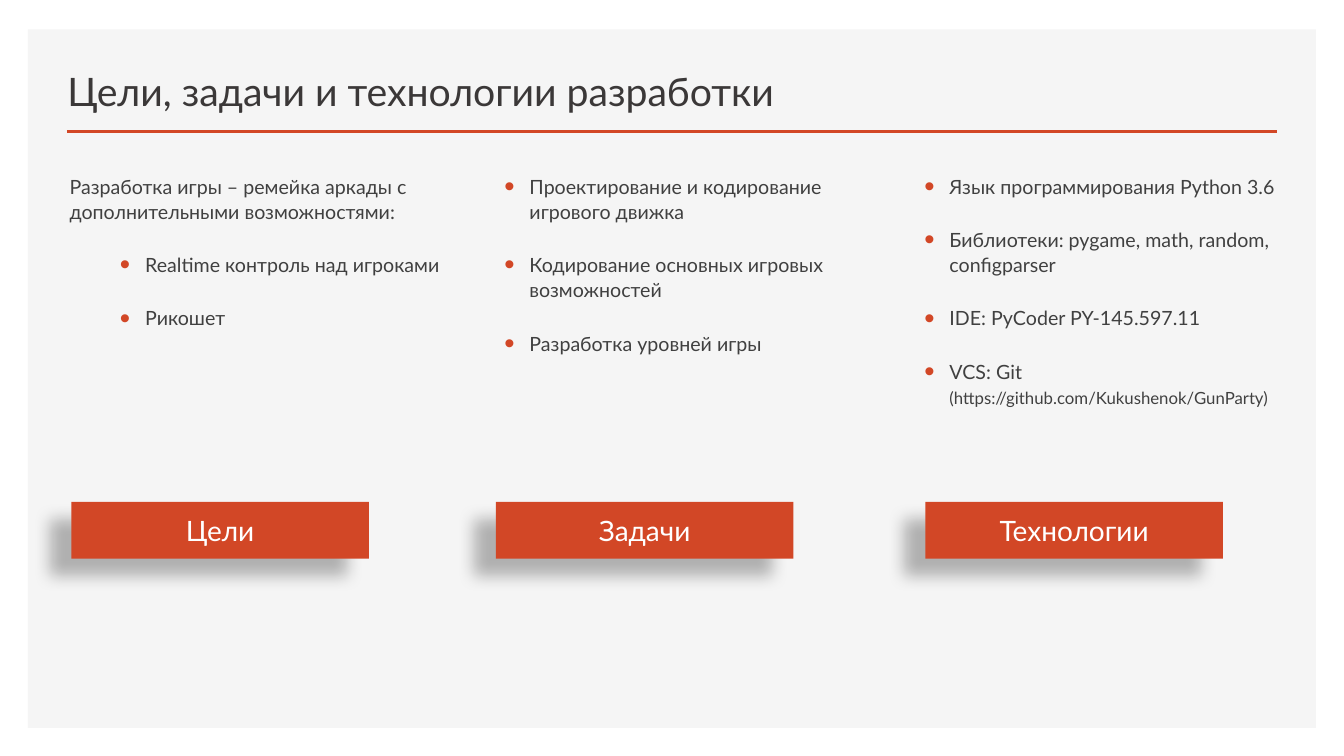
import pptx
import pptx.dml.color
import pptx.enum.shapes
import pptx.enum.text
import pptx.oxml
import pptx.oxml.ns
import pptx.util
from lxml import etree

Pt = pptx.util.Pt
ALIGN = pptx.enum.text.PP_ALIGN
ANCHOR = pptx.enum.text.MSO_ANCHOR
FONT = "Lato"
COLORS = {
    "panel": "F5F5F5",
    "accent": "D24726",
    "title": "3B3838",
    "body": "404040",
    "label": "FFFFFF",
    "shadow": "000000",
}

# Each column: left and width of its list, left of its label, label, items (level, text)
COLUMNS = [
    (42.5, 281, 51, "Цели", [
        (None, "Разработка игры – ремейка аркады с дополнительными возможностями:"),
        (1, "Realtime контроль над игроками"),
        (1, "Рикошет"),
    ]),
    (353, 270, 354.25, "Задачи", [
        (0, "Проектирование и кодирование игрового движка"),
        (0, "Кодирование основных игровых возможностей"),
        (0, "Разработка уровней игры"),
    ]),
    (653, 270, 661, "Технологии", [
        (0, "Язык программирования Python 3.6"),
        (0, "Библиотеки: pygame, math, random, configparser"),
        (0, "IDE: PyCoder PY-145.597.11"),
        (0, "VCS: Git "),
    ]),
]
REPOSITORY = "(https://github.com/Kukushenok/GunParty)"


def rgb(name):
    return pptx.dml.color.RGBColor.from_string(COLORS[name])


def place(item, left, top, width, height):
    item.left, item.top, item.width, item.height = map(Pt, (left, top, width, height))


def style(paragraph, size, color, align=ALIGN.LEFT):
    paragraph.alignment = align
    paragraph.font.size = Pt(size)
    paragraph.font.name = FONT
    paragraph.font.bold = False
    paragraph.font.color.rgb = rgb(color)


def set_bullet(paragraph, level):
    """Give the paragraph a bullet at a level, or none when level is None."""
    properties = paragraph._p.get_or_add_pPr()
    if level is None:
        properties.set("marL", "0")
        properties.set("indent", "0")
        etree.SubElement(properties, pptx.oxml.ns.qn("a:buNone"))
        return
    paragraph.level = level
    properties.set("marL", str(Pt(18 + 36 * level)))
    properties.set("indent", str(Pt(-18)))
    for tag, attributes in (("a:buClr", {}), ("a:buSzPct", {"val": "150000"}),
                            ("a:buFont", {"typeface": "Arial"}), ("a:buChar", {"char": "•"})):
        part = etree.SubElement(properties, pptx.oxml.ns.qn(tag), attributes)
        if tag == "a:buClr":
            etree.SubElement(part, pptx.oxml.ns.qn("a:srgbClr"), val=COLORS["accent"])


def add_rectangle(slide, left, top, width, height, color):
    rectangle = slide.shapes.add_shape(
        pptx.enum.shapes.MSO_SHAPE.RECTANGLE, Pt(left), Pt(top), Pt(width), Pt(height))
    rectangle.shadow.inherit = False
    rectangle.fill.solid()
    rectangle.fill.fore_color.rgb = rgb(color)
    rectangle.line.fill.background()
    return rectangle


def add_panel(slide):
    panel = add_rectangle(slide, 20, 21, 920, 499, "panel")
    slide.shapes._spTree.insert(2, panel._element)


def add_title_rule(slide):
    rule = slide.shapes.add_connector(
        pptx.enum.shapes.MSO_CONNECTOR.STRAIGHT, Pt(47.75), Pt(94), Pt(912), Pt(94))
    rule.line.color.rgb = rgb("accent")
    rule.line.width = Pt(2)
    etree.SubElement(rule._element.spPr, pptx.oxml.ns.qn("a:effectLst"))


def fill_title(title, text):
    place(title, 41, 35.5, 871, 50)
    frame = title.text_frame
    frame.text = text
    frame.auto_size = pptx.enum.text.MSO_AUTO_SIZE.NONE
    frame.vertical_anchor = ANCHOR.BOTTOM
    style(frame.paragraphs[0], 28, "title")


def fill_list(body, left, width, items):
    place(body, left, 120, width, 304.5)
    frame = body.text_frame
    frame.auto_size = pptx.enum.text.MSO_AUTO_SIZE.NONE
    frame.vertical_anchor = ANCHOR.TOP
    frame.text = "\n".join(text for _, text in items)
    for number, (paragraph, (level, _)) in enumerate(zip(frame.paragraphs, items)):
        set_bullet(paragraph, level)
        paragraph.line_spacing = Pt(18)
        paragraph.space_before = Pt(10 if number else 0)
        paragraph.space_after = Pt(10)
        style(paragraph, 14, "body")


def add_label(slide, left, text):
    label = add_rectangle(slide, left, 358.5, 212.5, 40.5, "accent")
    effects = label._element.spPr.find(pptx.oxml.ns.qn("a:effectLst"))
    shadow = etree.SubElement(
        effects, pptx.oxml.ns.qn("a:outerShdw"), blurRad=str(Pt(11.8)),
        dist=str(Pt(19.7)), dir=str(141 * 60000), algn="ctr", rotWithShape="0")
    color = etree.SubElement(shadow, pptx.oxml.ns.qn("a:srgbClr"), val=COLORS["shadow"])
    etree.SubElement(color, pptx.oxml.ns.qn("a:alpha"), val="28000")
    frame = label.text_frame
    frame.text = text
    frame.vertical_anchor = ANCHOR.MIDDLE
    style(frame.paragraphs[0], 20, "label", ALIGN.CENTER)


def main():
    deck = pptx.Presentation()
    deck.slide_width, deck.slide_height = Pt(960), Pt(540)
    slide = deck.slides.add_slide(deck.slide_layouts.get_by_name("Comparison"))

    # Backdrop and heading
    add_panel(slide)
    add_title_rule(slide)
    fill_title(slide.shapes.title, "Цели, задачи и технологии разработки")

    # Three lists with their labels; the fourth body is not needed
    *bodies, spare = list(slide.placeholders)[1:]
    spare._element.getparent().remove(spare._element)
    for body, (left, width, label_left, label, items) in zip(bodies, COLUMNS):
        fill_list(body, left, width, items)
        add_label(slide, label_left, label)

    # Repository address in smaller type after the last item
    address = bodies[-1].text_frame.paragraphs[-1].add_run()
    address.text = REPOSITORY
    address.font.size = Pt(12)

    deck.save("out.pptx")


if __name__ == "__main__":
    main()
